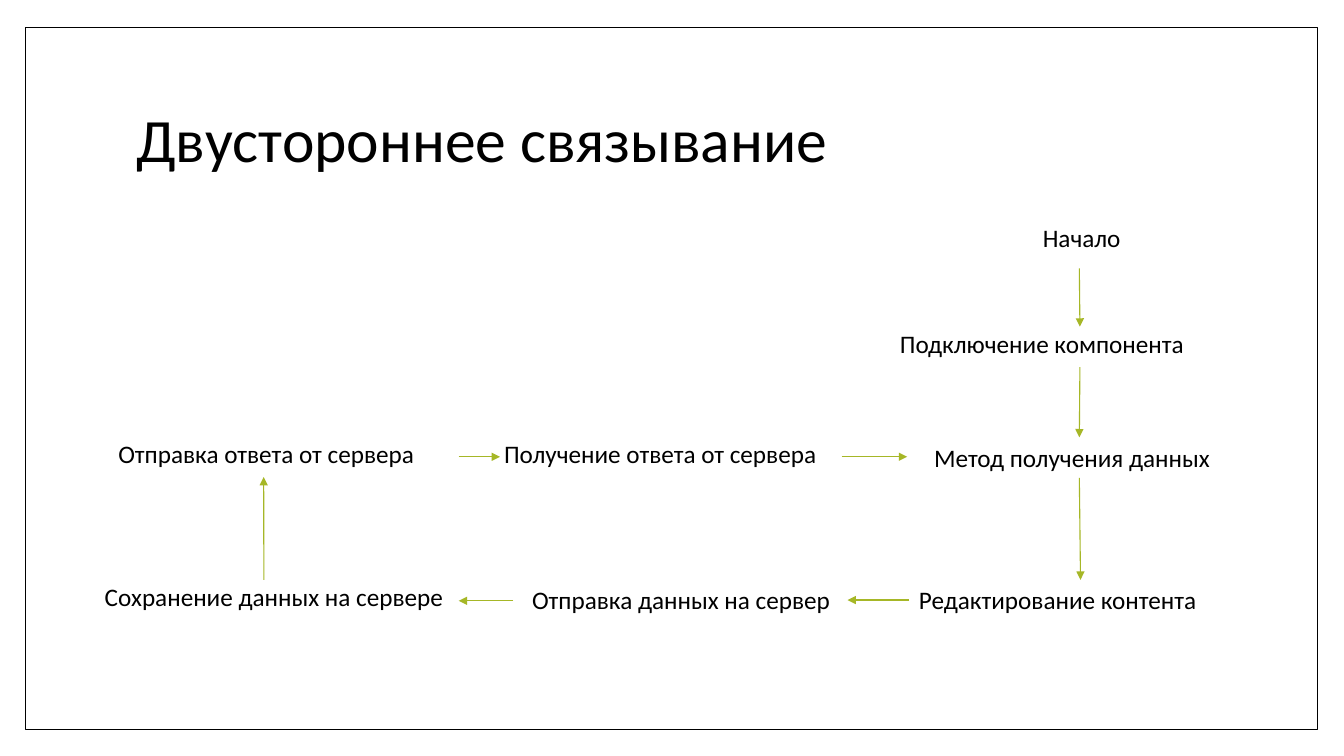
from dataclasses import dataclass

from lxml.etree import SubElement
from pptx import Presentation
from pptx.dml.color import RGBColor
from pptx.enum.shapes import MSO_CONNECTOR as Connector, MSO_SHAPE as Shape
from pptx.enum.text import MSO_ANCHOR as Anchor, MSO_AUTO_SIZE as AutoSize, PP_ALIGN as Align
from pptx.oxml.ns import qn
from pptx.util import Cm, Pt


@dataclass(frozen=True)
class Theme:
    """Colours, font and sizes of the slide."""
    ink: RGBColor = RGBColor(0x00, 0x00, 0x00)
    paper: RGBColor = RGBColor(0xFF, 0xFF, 0xFF)
    accent: RGBColor = RGBColor(0xA6, 0xB7, 0x27)
    font: str = "Calibri"
    title_size: int = 44
    step_size: int = 18
    frame_width: float = 1
    arrow_width: float = 0.79


THEME = Theme()
TOP, LEFT, BOTTOM, RIGHT = range(4)
STEP_HEIGHT = 1.02
WIDE = 9.83
UPPER_ROW, LOWER_ROW = 11, 14.61
INDENTED = dict(indent=0.13, line_spacing=0.9)
CENTERED = dict(INDENTED, align=Align.CENTER)
FITTED = dict(auto_size=AutoSize.SHAPE_TO_FIT_TEXT)

RECEIVE = "Получение ответа от сервера"
START = "Начало"
CONNECT = "Подключение компонента"
FETCH = "Метод получения данных"
EDIT = "Редактирование контента"
SEND = "Отправка данных на сервер"
SAVE = "Сохранение данных на сервере"
REPLY = "Отправка ответа от сервера"

STEPS = [
    (START, 22.28, 5.56, WIDE, CENTERED),
    (CONNECT, 22.3, 8.23, WIDE, INDENTED),
    (FETCH, 23.29, 11.02, 7.82, FITTED),
    (EDIT, 22.91, LOWER_ROW, 8.64, FITTED),
    (SEND, 13.16, LOWER_ROW, 8.2, FITTED),
    (SAVE, 2.26, LOWER_ROW, WIDE, INDENTED),
    (REPLY, 1.73, UPPER_ROW, WIDE, CENTERED),
    (RECEIVE, 12.32, UPPER_ROW, WIDE, INDENTED),
]

ARROWS = [
    ((27.2, 6.76), (CONNECT, TOP)),
    ((CONNECT, BOTTOM), (FETCH, TOP)),
    ((FETCH, BOTTOM), (EDIT, TOP)),
    ((EDIT, LEFT), (SEND, RIGHT)),
    ((12.93, 15.14), (11.56, 15.14)),
    ((6.65, LOWER_ROW), (REPLY, BOTTOM)),
    ((REPLY, RIGHT), (12.6, 11.51)),
    ((21.21, 11.51), (22.86, 11.51)),
]


def place(shape, left, top, width, height):
    """Move and size a shape, in centimetres."""
    shape.left, shape.top, shape.width, shape.height = map(Cm, (left, top, width, height))


def write(box, text, *, size=THEME.step_size, align=Align.LEFT, anchor=Anchor.TOP,
          indent=0, line_spacing=1.0, auto_size=AutoSize.NONE):
    """Fill a box with one formatted paragraph without a bullet."""
    frame = box.text_frame
    frame.word_wrap = True
    frame.auto_size = auto_size
    frame.vertical_anchor = anchor
    para = frame.paragraphs[0]
    para.alignment = align
    para.line_spacing = line_spacing
    para.space_before = Pt(0)
    properties = para._p.get_or_add_pPr()
    properties.set("marL", str(Cm(indent)))
    properties.set("indent", "0")
    SubElement(properties, qn("a:buNone"))
    span = para.add_run()
    span.text = text
    span.font.name = THEME.font
    span.font.size = Pt(size)
    span.font.color.rgb = THEME.ink


def add_frame(page):
    """Draw the outlined page frame behind everything else."""
    frame = page.shapes.add_shape(Shape.RECTANGLE, 0, 0, 0, 0)
    place(frame, 0.64, 0.69, 32.56, 17.7)
    frame.shadow.inherit = False
    frame.fill.solid()
    frame.fill.fore_color.rgb = THEME.paper
    frame.line.color.rgb = THEME.ink
    frame.line.width = Pt(THEME.frame_width)
    frame.element.getparent().insert(2, frame.element)


def add_step(page, text, left, top, width, style):
    """Add one step of the cycle and return its box."""
    if text == RECEIVE:
        box = page.placeholders[1]
    else:
        box = page.shapes.add_textbox(0, 0, 0, 0)
    place(box, left, top, width, STEP_HEIGHT)
    write(box, text, **style)
    return box


def add_arrow(page, boxes, start, end):
    """Draw an arrow between points or sides of step boxes."""
    points = [(0, 0) if spot[0] in boxes else spot for spot in (start, end)]
    lengths = [Cm(value) for point in points for value in point]
    arrow = page.shapes.add_connector(Connector.STRAIGHT, *lengths)
    for spot, connect in ((start, arrow.begin_connect), (end, arrow.end_connect)):
        if spot[0] in boxes:
            connect(boxes[spot[0]], spot[1])
    arrow.line.color.rgb = THEME.accent
    arrow.line.width = Pt(THEME.arrow_width)
    SubElement(arrow.line._get_or_add_ln(), qn("a:tailEnd"), type="triangle")
    SubElement(arrow.element.spPr, qn("a:effectLst"))


def main():
    """Build the slide and save it."""
    deck = Presentation()
    deck.slide_width, deck.slide_height = Cm(33.87), Cm(19.05)
    page = deck.slides.add_slide(deck.slide_layouts[1])
    add_frame(page)
    title = page.shapes.title
    place(title, 3.18, 1.7, 27.43, 3.76)
    write(title, "Двустороннее связывание", size=THEME.title_size,
          anchor=Anchor.MIDDLE, line_spacing=0.9)
    boxes = {step[0]: add_step(page, *step) for step in STEPS}
    for start, end in ARROWS:
        add_arrow(page, boxes, start, end)
    deck.save("out.pptx")


if __name__ == "__main__":
    main()
